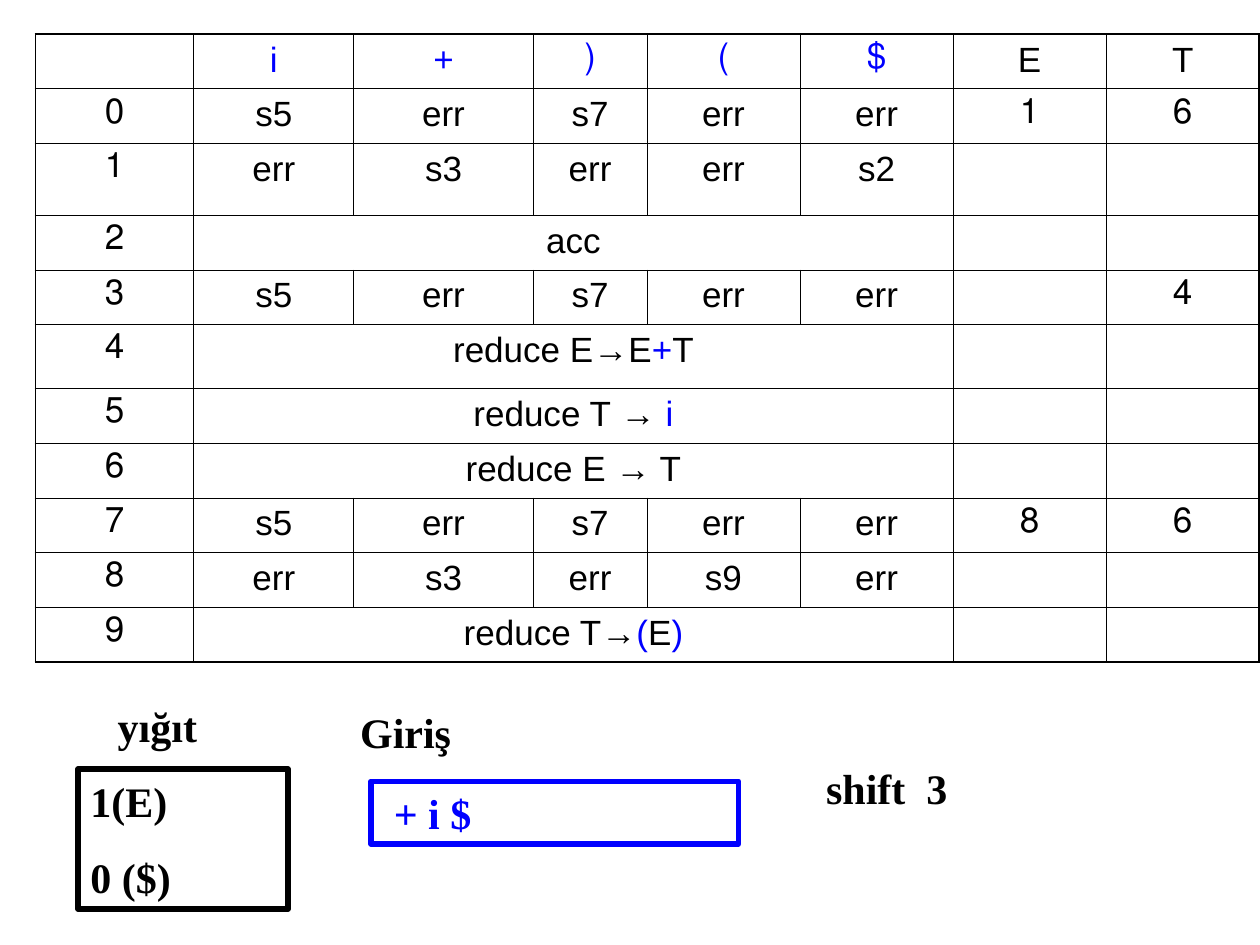
from itertools import groupby

from lxml.etree import SubElement
from pptx import Presentation
from pptx.dml.color import RGBColor
from pptx.enum.shapes import MSO_SHAPE
from pptx.enum.text import MSO_ANCHOR, PP_ALIGN
from pptx.oxml.ns import qn
from pptx.util import Pt

BLACK = RGBColor(0, 0, 0)
BLUE = RGBColor(0, 0, 255)

TERMINALS = "i+()$"
GRAMMAR_FONT = {"name": "Arial", "size": Pt(20), "bold": False}
STACK_FONT = {"name": "Times New Roman", "size": Pt(24), "bold": True}
FRAME_FORMAT = {
    "word_wrap": True,
    "vertical_anchor": MSO_ANCHOR.TOP,
    "margin_left": Pt(7.2),
    "margin_right": Pt(7.2),
    "margin_top": Pt(3.6),
    "margin_bottom": Pt(3.6),
}

INNER_BORDER = Pt(0.45)
OUTER_BORDER = Pt(1.08)

COLUMN_WIDTHS = [90.5, 91.5, 102.5, 65] + [87.5] * 4
ROW_HEIGHT = 31.2
TALL_ROWS = {2: 41, 5: 36.6}

# A state's actions are one per terminal, or a single one for all of them.
SYMBOLS = (["i", "+", "(", ")", "$"], ["E", "T"])
STATES = [
    (["s5", "err", "s7", "err", "err"], ["1", "6"]),
    (["err", "s3", "err", "err", "s2"], ["", ""]),
    (["acc"], ["", ""]),
    (["s5", "err", "s7", "err", "err"], ["", "4"]),
    (["reduce E→E+T"], ["", ""]),
    (["reduce T → i"], ["", ""]),
    (["reduce E → T"], ["", ""]),
    (["s5", "err", "s7", "err", "err"], ["8", "6"]),
    (["err", "s3", "err", "s9", "err"], ["", ""]),
    (["reduce T→(E)"], ["", ""]),
]


def apply_format(target, values):
    for attribute, value in values.items():
        setattr(target, attribute, value)


def add_run(paragraph, text, font_format, color):
    run = paragraph.add_run()
    run.text = text
    apply_format(run.font, font_format)
    run.font.color.rgb = color


def write_grammar(cell, text):
    """Write centred right-to-left text with its terminals in blue."""
    paragraph = cell.text_frame.paragraphs[0]
    paragraph.alignment = PP_ALIGN.CENTER
    paragraph._p.get_or_add_pPr().set("rtl", "1")
    for is_terminal, symbols in groupby(text, lambda symbol: symbol in TERMINALS):
        add_run(paragraph, "".join(symbols), GRAMMAR_FONT,
                BLUE if is_terminal else BLACK)


def set_borders(cell, widths):
    properties = cell._tc.get_or_add_tcPr()
    for side, width in widths.items():
        line = SubElement(properties, qn(f"a:ln{side}"), w=str(width))
        fill = SubElement(line, qn("a:solidFill"))
        SubElement(fill, qn("a:srgbClr"), val=str(BLACK))


def add_parse_table(slide):
    row_heights = [TALL_ROWS.get(row, ROW_HEIGHT) for row in range(len(STATES) + 1)]
    last_row, last_column = len(row_heights) - 1, len(COLUMN_WIDTHS) - 1
    table = slide.shapes.add_table(
        len(row_heights), len(COLUMN_WIDTHS), Pt(20.25), Pt(19.5),
        Pt(sum(COLUMN_WIDTHS)), Pt(sum(row_heights))).table
    apply_format(table, {"first_row": False, "horz_banding": False})
    for column, width in zip(table.columns, COLUMN_WIDTHS):
        column.width = Pt(width)
    for row, height in zip(table.rows, row_heights):
        row.height = Pt(height)

    terminal_count = len(SYMBOLS[0])
    for row, (actions, gotos) in enumerate([SYMBOLS] + STATES):
        state = str(row - 1) if row else ""
        padding = [""] * (terminal_count - len(actions))
        for column, text in enumerate([state] + actions + padding + gotos):
            cell = table.cell(row, column)
            at_edge = {"L": column == 0, "R": column == last_column,
                       "T": row == 0, "B": row == last_row}
            set_borders(cell, {side: OUTER_BORDER if outer else INNER_BORDER
                               for side, outer in at_edge.items()})
            cell.fill.background()
            write_grammar(cell, text)
        if len(actions) == 1:
            table.cell(row, 1).merge(table.cell(row, terminal_count))


def write_lines(frame, lines, color):
    apply_format(frame, FRAME_FORMAT)
    for index, line in enumerate(lines):
        paragraph = frame.add_paragraph() if index else frame.paragraphs[0]
        paragraph.alignment = PP_ALIGN.LEFT
        if index:
            paragraph.space_before = Pt(15)
        add_run(paragraph, line, STACK_FONT, color)


def add_label(slide, text, left, top, width):
    label = slide.shapes.add_textbox(Pt(left), Pt(top), Pt(width), Pt(36))
    write_lines(label.text_frame, [text], BLACK)


def add_outlined_box(slide, lines, left, top, width, height, color):
    box = slide.shapes.add_shape(
        MSO_SHAPE.RECTANGLE, Pt(left), Pt(top), Pt(width), Pt(height))
    box.shadow.inherit = False
    box.fill.background()
    box.line.color.rgb = color
    box.line.width = Pt(3)
    write_lines(box.text_frame, lines, color)


def main():
    presentation = Presentation()
    presentation.slide_width, presentation.slide_height = Pt(720), Pt(540)
    slide = presentation.slides.add_slide(presentation.slide_layouts[6])

    add_outlined_box(slide, [" + i $"], 212, 446.4, 210, 36, BLUE)
    add_label(slide, "Giriş", 198.7, 400.3, 252.7)
    add_outlined_box(slide, ["1(E)", "0 ($)"], 44.6, 439.5, 120, 80, BLACK)
    add_label(slide, "shift  3", 465, 432, 170.6)
    add_label(slide, "yığıt", 60.2, 396.5, 93.6)
    add_parse_table(slide)

    presentation.save("out.pptx")


if __name__ == "__main__":
    main()
